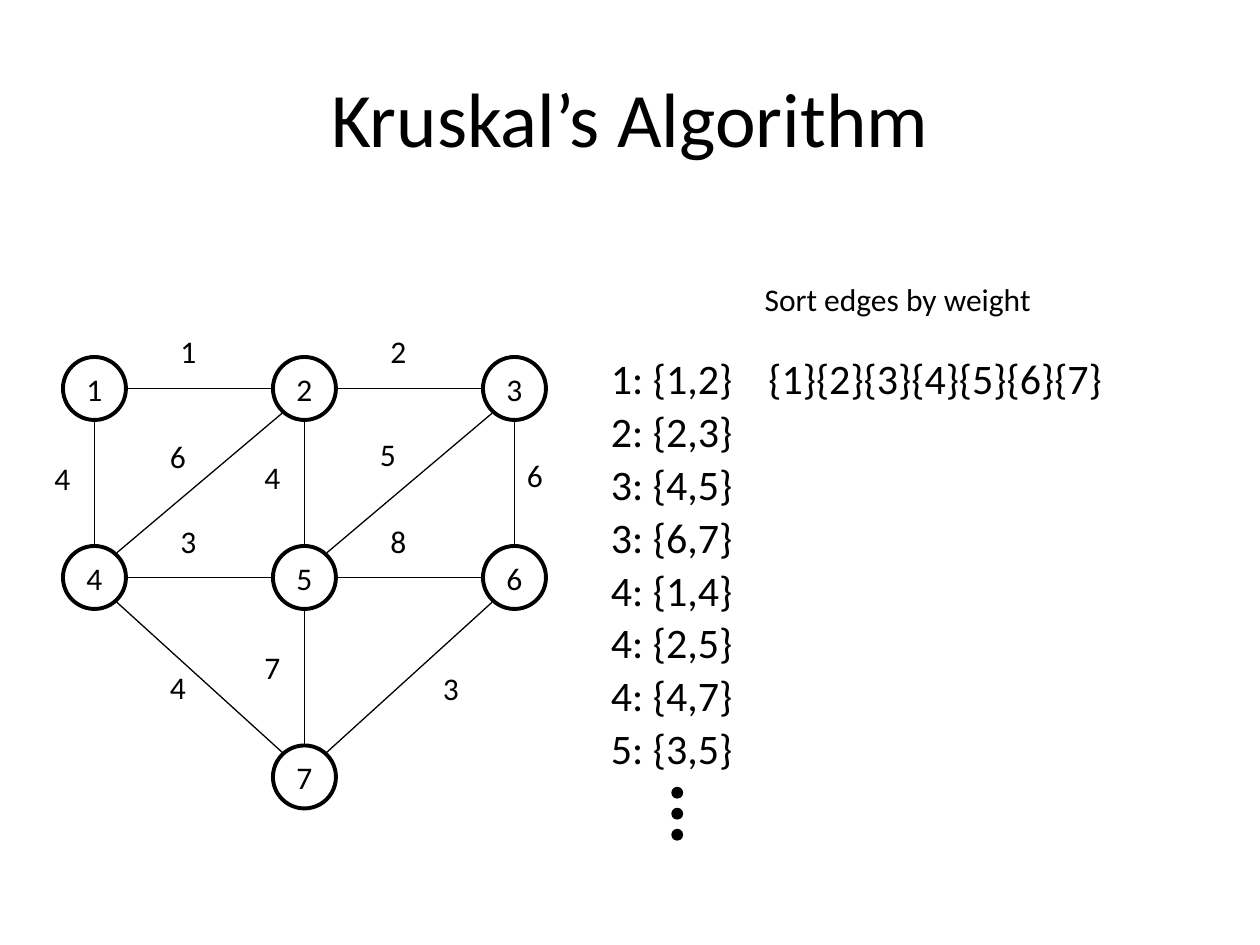
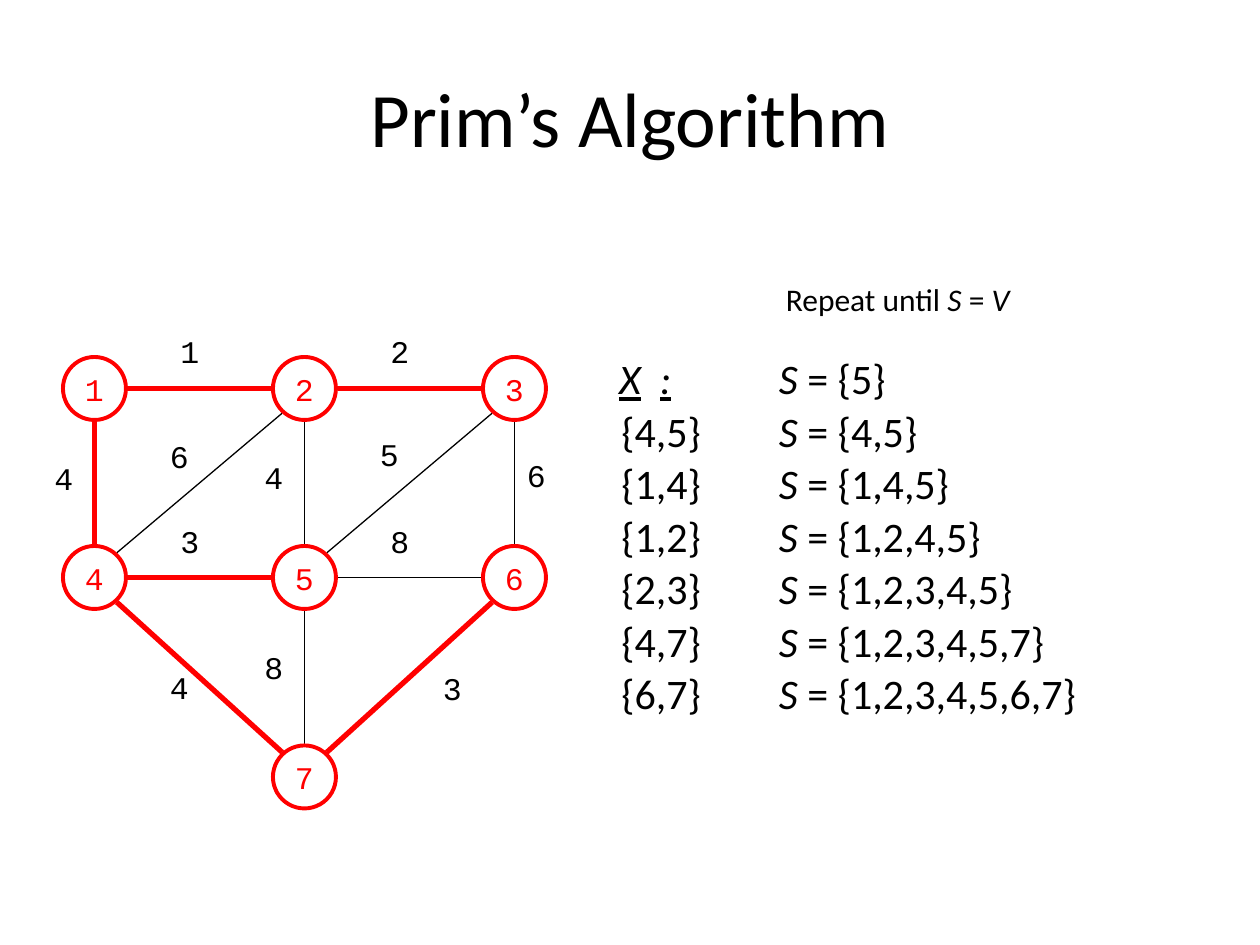
from lxml import etree
from pptx import Presentation
from pptx.dml.color import RGBColor
from pptx.enum.shapes import MSO_CONNECTOR, MSO_SHAPE
from pptx.enum.text import MSO_ANCHOR, PP_ALIGN
from pptx.oxml.ns import qn
from pptx.util import Pt

STRAIGHT = MSO_CONNECTOR.STRAIGHT
OVAL = MSO_SHAPE.OVAL
TOP, MIDDLE = MSO_ANCHOR.TOP, MSO_ANCHOR.MIDDLE
LEFT, CENTER = PP_ALIGN.LEFT, PP_ALIGN.CENTER

BLACK, RED = "000000", "FF0000"
SANS, MONO = "Calibri", "Courier New"
rgb = RGBColor.from_string

# Graph shared by both slides: node centres, and edges with label corners
NODES = {1: (54, 222), 2: (174, 222), 3: (294, 222),
         4: (54, 330), 5: (174, 330), 6: (294, 330), 7: (174, 444)}
EDGES = {(1, 2): (96, 186), (2, 3): (216, 186), (4, 5): (96, 295),
         (5, 6): (216, 295), (1, 4): (24, 259), (4, 2): (90, 246),
         (2, 5): (144, 258), (5, 3): (210, 245), (3, 6): (294, 257),
         (4, 7): (90, 378), (5, 7): (144, 367), (6, 7): (246, 379)}
RADIUS = 18
STRAIGHT_GAP = 19.1             # node centre to the end of a level or upright edge
SLANT_GAP_X, SLANT_GAP_Y = 12.75, 14.1


def write(shape, text, size=18, font=SANS, color=BLACK, align=LEFT,
          anchor=TOP, wrap=True, underline=False, tabs=()):
    """Write one paragraph; parts between asterisks are italic."""
    frame = shape.text_frame
    frame.word_wrap = wrap
    frame.vertical_anchor = anchor
    paragraph = frame.paragraphs[0]
    paragraph.alignment = align
    if tabs:
        stops = etree.SubElement(paragraph._p.get_or_add_pPr(), qn("a:tabLst"))
        for stop in tabs:
            etree.SubElement(stops, qn("a:tab"), pos=str(Pt(stop)), algn="l")
    for i, part in enumerate(text.split("*")):
        if part:
            run = paragraph.add_run()
            run.text = part
            run.font.name = font
            run.font.size = Pt(size)
            run.font.color.rgb = rgb(color)
            run.font.italic = i % 2 == 1
            run.font.underline = underline


def draw_graph(slide, weights, font, node_color, tree=()):
    for (edge, corner), weight in zip(EDGES.items(), weights):
        (x1, y1), (x2, y2) = (NODES[node] for node in edge)
        step_x = (x2 > x1) - (x2 < x1)
        step_y = (y2 > y1) - (y2 < y1)
        slanted = step_x and step_y
        gap_x = step_x * (SLANT_GAP_X if slanted else STRAIGHT_GAP)
        gap_y = step_y * (SLANT_GAP_Y if slanted else STRAIGHT_GAP)
        line = slide.shapes.add_connector(
            STRAIGHT, Pt(x1 + gap_x), Pt(y1 + gap_y), Pt(x2 - gap_x), Pt(y2 - gap_y))
        line.line.color.rgb = rgb(RED if edge in tree else BLACK)
        line.line.width = Pt(3 if edge in tree else 0.75)
        etree.SubElement(line._element.spPr, qn("a:effectLst"))
        label = slide.shapes.add_textbox(Pt(corner[0]), Pt(corner[1]), Pt(36), Pt(41))
        write(label, str(weight), font=font)
    for number, (x, y) in NODES.items():
        node = slide.shapes.add_shape(
            OVAL, Pt(x - RADIUS), Pt(y - RADIUS), Pt(2 * RADIUS), Pt(2 * RADIUS))
        node.shadow.inherit = False
        node.fill.background()
        node.line.color.rgb = rgb(node_color)
        node.line.width = Pt(2.25)
        write(node, str(number), font=font, color=node_color,
              align=CENTER, anchor=MIDDLE, wrap=False)


deck = Presentation()
deck.slide_width, deck.slide_height = Pt(720), Pt(540)

# Titles and step captions
slides = []
for heading, caption in [("Kruskal’s Algorithm", "Sort edges by weight"),
                         ("Prim’s Algorithm", "Repeat until *S* = *V*")]:
    slide = deck.slides.add_slide(deck.slide_layouts[5])
    title = slide.shapes.title
    title.left, title.top, title.width, title.height = Pt(36), Pt(21.6), Pt(648), Pt(90)
    write(title, heading, size=44, align=CENTER, anchor=MIDDLE)
    step = slide.shapes.add_textbox(Pt(336), Pt(150), Pt(354), Pt(42))
    write(step, caption, align=CENTER, anchor=MIDDLE, wrap=False)
    slides.append(slide)
kruskal, prim = slides

# Kruskal: graph, sorted edges and starting sets
draw_graph(kruskal, [1, 2, 3, 8, 4, 6, 4, 5, 6, 4, 7, 3], SANS, BLACK)
sorted_edges = ["1: {1,2}", "2: {2,3}", "3: {4,5}", "3: {6,7}",
                "4: {1,4}", "4: {2,5}", "4: {4,7}", "5: {3,5}"]
for row, entry in enumerate(sorted_edges):
    listed = kruskal.shapes.add_textbox(Pt(342), Pt(198 + 30.2 * row), Pt(120), Pt(36))
    write(listed, entry, size=24)
for i in range(3):
    dot = kruskal.shapes.add_shape(OVAL, Pt(384), Pt(450 + 12 * i), Pt(6), Pt(6))
    dot.shadow.inherit = False
    dot.fill.solid()
    dot.fill.fore_color.rgb = rgb(BLACK)
    dot.line.color.rgb = rgb(BLACK)
    dot.line.width = Pt(0.75)
starting_sets = kruskal.shapes.add_textbox(Pt(432), Pt(198), Pt(264), Pt(36))
write(starting_sets, "{1}{2}{3}{4}{5}{6}{7}", size=24)

# Prim: graph with its tree, chosen edges and growing set
draw_graph(prim, [1, 2, 3, 8, 4, 6, 4, 5, 6, 4, 8, 3], MONO, RED,
           tree=[(1, 2), (2, 3), (4, 5), (1, 4), (4, 7), (6, 7)])
chosen_heading = prim.shapes.add_textbox(Pt(336), Pt(198), Pt(114), Pt(36))
write(chosen_heading, "*\tX\t:\t*", size=24, underline=True, tabs=(10.8, 34.1, 51.3))
steps = [("", "5"), ("4,5", "4,5"), ("1,4", "1,4,5"), ("1,2", "1,2,4,5"),
         ("2,3", "1,2,3,4,5"), ("4,7", "1,2,3,4,5,7"), ("6,7", "1,2,3,4,5,6,7")]
for row, (edge, reached) in enumerate(steps):
    top = Pt(198 + 30 * row)
    if edge:
        chosen = prim.shapes.add_textbox(Pt(348), top, Pt(114), Pt(36))
        write(chosen, f"{{{edge}}}", size=24)
    reached_set = prim.shapes.add_textbox(Pt(438), top, Pt(234), Pt(36))
    write(reached_set, f"*S* = {{{reached}}}", size=24)

deck.save("out.pptx")
